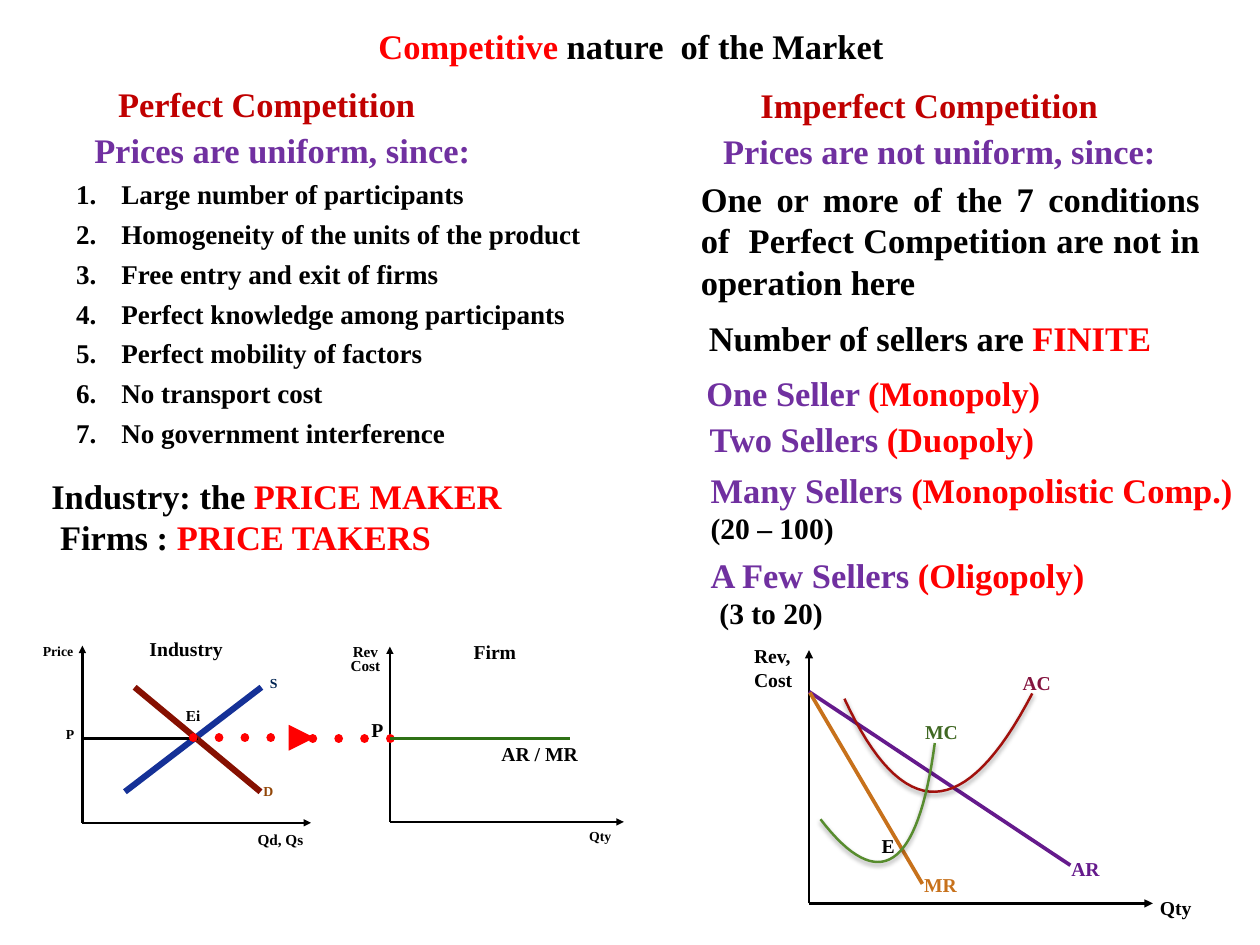
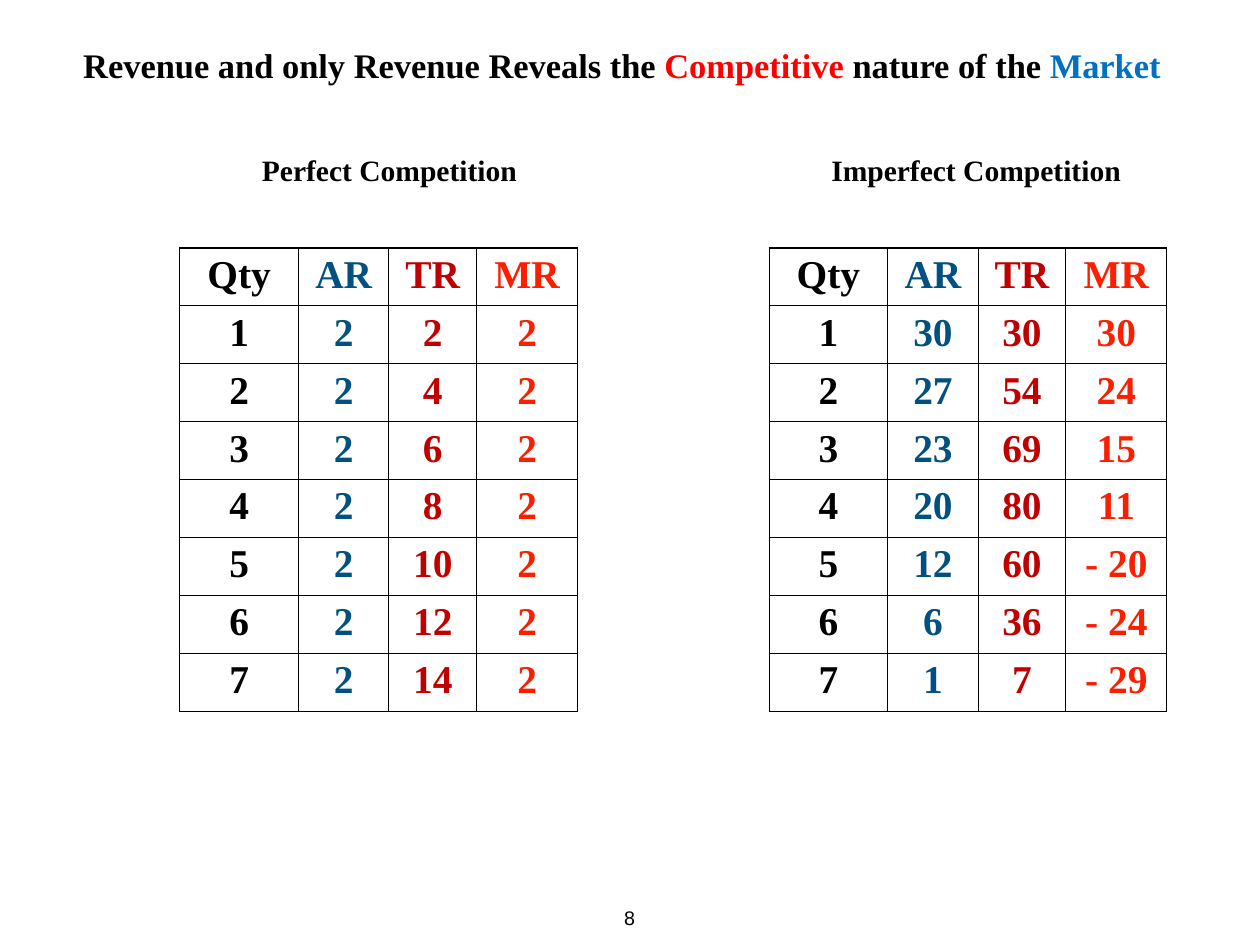
from lxml import etree
from pptx import Presentation
from pptx.dml.color import RGBColor
from pptx.enum.shapes import MSO_CONNECTOR
from pptx.enum.text import MSO_ANCHOR, PP_ALIGN
from pptx.oxml.ns import qn
from pptx.util import Pt

PX = 9144
STRAIGHT = MSO_CONNECTOR.STRAIGHT
LEFT, CENTER, JUSTIFY = PP_ALIGN.LEFT, PP_ALIGN.CENTER, PP_ALIGN.JUSTIFY
TOP, MIDDLE, BOTTOM = MSO_ANCHOR.TOP, MSO_ANCHOR.MIDDLE, MSO_ANCHOR.BOTTOM
COLORS = {
    "black": "000000", "red": "FF0000", "crimson": "C00000", "purple": "7030A0",
    "blue": "0070C0", "supply": "153197", "supply_label": "002452",
    "demand": "861001", "demand_label": "924607", "firm_revenue": "2E7116",
    "ar": "651A8C", "mr": "C7711B", "ac": "A2110D", "ac_label": "84143F",
    "mc": "578C2E", "mc_label": "406823",
    "ar_column": "005180", "mr_column": "FA1F00",
}


def rgb(name):
    return RGBColor.from_string(COLORS[name])


def child(parent, tag, **attributes):
    return etree.SubElement(parent, qn(tag), {k: str(v) for k, v in attributes.items()})


class Deck:
    """Holds the presentation style and the slide being filled."""

    def __init__(self, width, height):
        self.prs = Presentation()
        self.prs.slide_width, self.prs.slide_height = width * PX, height * PX
        self.slide = None

    def new_slide(self):
        self.slide = self.prs.slides.add_slide(self.prs.slide_layouts[6])

    def style(self, run, size, color, font="Times New Roman", bold=True):
        run.font.name, run.font.size, run.font.bold = font, Pt(size), bold
        run.font.color.rgb = rgb(color)

    def text(self, box, *lines, size=28, color="black", align=CENTER, anchor=TOP,
             inset=0, spacing=None, font="Times New Roman", bold=True):
        frame = self.slide.shapes.add_textbox(*(v * PX for v in box)).text_frame
        frame.word_wrap, frame.vertical_anchor = True, anchor
        frame.margin_left = frame.margin_right = inset * PX
        frame.margin_top = frame.margin_bottom = inset * PX
        for index, line in enumerate(lines):
            paragraph = frame.add_paragraph() if index else frame.paragraphs[0]
            paragraph.alignment = align
            if spacing:
                paragraph.line_spacing = spacing
            for words, *look in [(line,)] if isinstance(line, str) else line:
                run = paragraph.add_run()
                run.text = words
                self.style(run, look[1] if len(look) > 1 else size,
                           look[0] if look else color, font, bold)
        return frame.paragraphs

    def heading(self, box, *lines, **look):
        return self.text(box, *lines, anchor=BOTTOM, inset=6, **look)

    def indent(self, paragraph, left, first=0):
        properties = paragraph._p.get_or_add_pPr()
        properties.set("marL", str(left * PX))
        properties.set("indent", str(first * PX))
        return properties

    def numbered(self, box, items, size):
        paragraphs = self.text(box, *items, size=size, align=JUSTIFY, anchor=BOTTOM)
        for index, paragraph in enumerate(paragraphs):
            if index:
                paragraph.space_before = Pt(6)
            child(self.indent(paragraph, 51, -51), "a:buAutoNum", type="arabicPeriod")

    def line(self, start, end, color="black", width=2.0, arrow=False, dotted=False):
        points = [v * PX for v in (*start, *end)]
        connector = self.slide.shapes.add_connector(STRAIGHT, *points)
        connector.line.color.rgb, connector.line.width = rgb(color), Pt(width)
        outline = connector.line._get_or_add_ln()
        if dotted:
            outline.set("cap", "rnd")
            child(child(outline, "a:custDash"), "a:ds", d=100000, sp=200000)
        if arrow:
            child(outline, "a:tailEnd", type="triangle")
        child(connector._element.spPr, "a:effectLst")

    def axes(self, origin, top, right, width=2.0):
        x, y = origin
        self.line(origin, (x, top), width=width, arrow=True)
        self.line(origin, (right, y), width=width, arrow=True)

    def curve(self, controls, color, steps=32):
        points = []
        for step in range(steps + 1):
            t = step / steps
            weights = ((1 - t) ** 3, 3 * t * (1 - t) ** 2, 3 * t * t * (1 - t), t ** 3)
            points.append(tuple(round(PX * sum(w * c[axis] for w, c in zip(weights, controls)))
                                for axis in (0, 1)))
        builder = self.slide.shapes.build_freeform(*points[0])
        builder.add_line_segments(points[1:], close=False)
        shape = builder.convert_to_shape()
        shape.fill.background()
        shape.line.color.rgb, shape.line.width = rgb(color), Pt(2)
        effects = child(shape._element.spPr, "a:effectLst")
        shadow = child(effects, "a:outerShdw", blurRad=Pt(4), dist=Pt(2),
                       dir=5400000, rotWithShape=0)
        child(child(shadow, "a:srgbClr", val=COLORS["black"]), "a:alpha", val=38000)

    def border(self, cell):
        properties = cell._tc.get_or_add_tcPr()
        for side in ("a:lnL", "a:lnR", "a:lnT", "a:lnB"):
            edge = child(properties, side, w=Pt(1))
            child(child(edge, "a:solidFill"), "a:srgbClr", val=COLORS["black"])
        cell.fill.background()

    def table(self, left, top, rows, widths, row_height, column_colors):
        table = self.slide.shapes.add_table(
            len(rows), len(widths), left * PX, top * PX,
            sum(widths) * PX, len(rows) * row_height * PX).table
        table.first_row = table.horz_banding = False
        for column, width in zip(table.columns, widths):
            column.width = width * PX
        for r, row in enumerate(rows):
            table.rows[r].height = row_height * PX
            for c, value in enumerate(row):
                cell = table.cell(r, c)
                cell.margin_top = cell.margin_bottom = 6 * PX
                paragraph = cell.text_frame.paragraphs[0]
                paragraph.text, paragraph.alignment = str(value), CENTER
                self.style(paragraph.runs[0], 32, column_colors[c])
                self.border(cell)


def industry_and_firm(deck):
    price_level = 834
    deck.axes((93, 929), 729, 351)
    deck.axes((440, 928), 730, 704)
    deck.line((141, 894), (295, 776), "supply", 5)
    deck.line((294, 894), (152, 776), "demand", 5)
    deck.line((94, price_level), (224, price_level))
    for box, label, size, color in [
        ((39, 729, 53, 16), "Price", 11.2, "black"),
        ((262, 941, 109, 19), "Qd, Qs", 12.4, "black"),
        ((651, 938, 53, 16), "Qty", 11.2, "black"),
        ((386, 729, 53, 37), "Rev Cost", 12.4, "black"),
        ((290, 888, 26, 16), "D", 11.2, "demand_label"),
        ((296, 766, 26, 16), "S", 11.2, "supply_label"),
        ((66, 823, 26, 16), "P", 11.2, "black"),
        ((201, 801, 34, 18), "Ei", 12.4, "black"),
    ]:
        deck.text(box, label, size=size, color=color, spacing=0.8)
    deck.line((218, 833), (355, 833), "red", 7, arrow=True, dotted=True)
    deck.line((353, price_level), (441, price_level), "red", 7, dotted=True)
    deck.line((440, price_level), (643, price_level), "firm_revenue", 3)
    for box, label in [
        ((413, 811, 26, 16), "P"),
        ((557, 838, 104, 32), "AR / MR"),
        ((157, 719, 106, 35), "Industry"),
        ((510, 722, 97, 33), "Firm"),
    ]:
        deck.text(box, label, size=16)


def imperfect_firm(deck):
    deck.axes((913, 1020), 734, 1301, width=2.25)
    deck.line((913, 781), (1208, 977), "ar", 3)
    deck.line((914, 782), (1041, 998), "mr", 3)
    deck.curve([(1165, 783), (1089, 929), (1019, 931), (953, 789)], "ac")
    deck.curve([(1055, 839), (1036, 982), (992, 1011), (926, 925)], "mc")
    for box, label, color in [
        ((1302, 1005, 70, 45), "Qty", "black"),
        ((844, 720, 76, 40), "Rev, Cost", "black"),
        ((1037, 806, 53, 40), "MC", "mc_label"),
        ((1036, 979, 54, 35), "MR", "mr"),
        ((988, 934, 30, 36), "E", "black"),
        ((1147, 750, 48, 37), "AC", "ac_label"),
        ((1202, 960, 51, 38), "AR", "ar"),
    ]:
        deck.text(box, label, size=16, color=color, align=LEFT, inset=7)


def competition_slide(deck):
    deck.new_slide()
    deck.heading((408, 11, 608, 70),
                 [("Competitive ", "red"), ("nature  of the Market",)])
    deck.heading((126, 64, 350, 83), "Perfect Competition", color="crimson")
    deck.heading((827, 58, 443, 90), "Imperfect Competition", color="crimson")
    deck.heading((92, 143, 453, 56), "Prices are uniform, since:", color="purple")
    deck.heading((802, 144, 516, 56), "Prices are not uniform, since:", color="purple")
    deck.numbered((86, 197, 590, 310), [
        "Large number of participants",
        "Homogeneity of the units of the product",
        "Free entry and exit of firms",
        "Perfect knowledge among participants",
        "Perfect mobility of factors",
        "No transport cost",
        "No government interference",
    ], 22)
    roles = deck.text((58, 536, 607, 107),
                      [("Industry: the ",), ("PRICE MAKER", "red")],
                      [("Firms : ",), ("PRICE TAKERS", "red")], align=JUSTIFY)
    deck.indent(roles[1], 10)
    deck.text((791, 194, 563, 147),
              "One or more of the 7 conditions of  Perfect Competition "
              "are not in operation here", align=JUSTIFY, anchor=BOTTOM)
    deck.heading((794, 353, 527, 58),
                 [("Number of sellers are ",), ("FINITE", "red")], align=JUSTIFY)
    for box, sellers, market, count, align in [
        ((746, 416, 479, 57), "One Seller ", "(Monopoly)", None, CENTER),
        ((771, 469, 426, 56), "Two Sellers ", "(Duopoly)", None, CENTER),
        ((796, 530, 620, 92), "Many Sellers ", "(Monopolistic Comp.)", "(20 – 100)", JUSTIFY),
        ((796, 608, 518, 110), "A Few Sellers ", "(Oligopoly)", "(3 to 20)", JUSTIFY),
    ]:
        lines = [[(sellers, "purple"), (market, "red")]]
        if count:
            lines.append([(count, "black", 24)])
        paragraphs = deck.heading(box, *lines, align=align)
    deck.indent(paragraphs[1], 10)
    industry_and_firm(deck)
    imperfect_firm(deck)


def revenue_slide(deck):
    deck.new_slide()
    deck.text((88, 44, 1320, 57),
              [("Revenue and only Revenue Reveals the ",), ("Competitive", "red"),
               (" nature of the ",), ("Market", "blue")], align=JUSTIFY, inset=6)
    perfect = [(q, 2, 2 * q, 2) for q in range(1, 8)]
    imperfect = [(1, 30, 30, "30"), (2, 27, 54, "24"), (3, 23, 69, "15"),
                 (4, 20, 80, "11"), (5, 12, 60, "- 20"), (6, 6, 36, "- 24"),
                 (7, 1, 7, "- 29")]
    for market, heading_left, table_left, revenue in [
        ("Perfect Competition", 270, 203, perfect),
        ("Imperfect Competition", 932, 868, imperfect),
    ]:
        deck.text((heading_left, 165, 339, 52), market, size=24, anchor=MIDDLE, inset=6)
        deck.table(table_left, 280, [("Qty", "AR", "TR", "MR"), *revenue],
                   (134, 102, 99, 114), 63,
                   ("black", "ar_column", "crimson", "mr_column"))
    deck.text((692, 1017, 37, 35), "8", size=16, inset=6, font="Arial", bold=False)


def main():
    deck = Deck(1422, 1067)
    competition_slide(deck)
    revenue_slide(deck)
    deck.prs.save("out.pptx")


if __name__ == "__main__":
    main()
